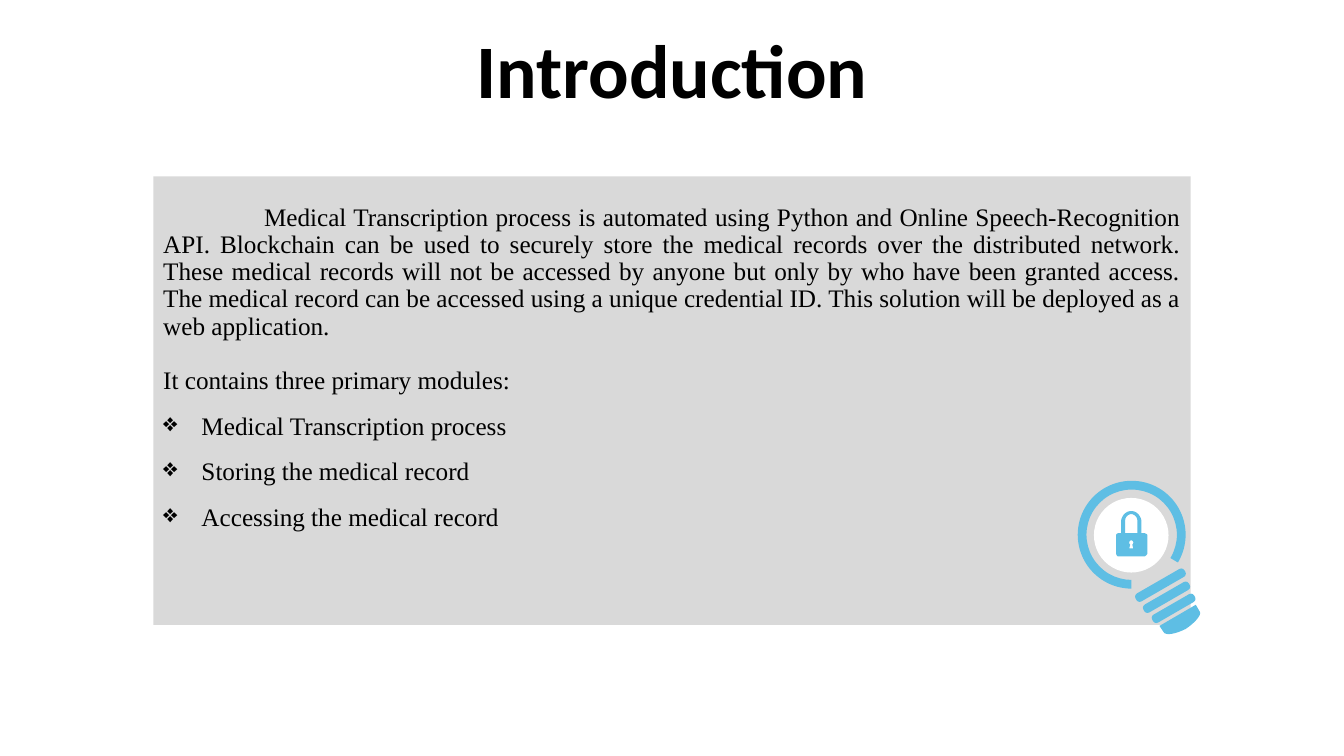
from dataclasses import dataclass
from typing import Any

from lxml.etree import SubElement
from pptx import Presentation
from pptx.dml.color import RGBColor
from pptx.enum.shapes import MSO_SHAPE as Preset
from pptx.enum.text import MSO_ANCHOR as Anchor, MSO_AUTO_SIZE as AutoSize, PP_ALIGN as Align
from pptx.oxml.ns import qn
from pptx.util import Emu, Pt

PX = 9144
TITLE_ONLY = 5
CURVE_STEPS = 8
TILT = 330
COLORS = {"ink": "000000", "panel": "D9D9D9", "bulb": "5EBEE4", "glass": "FFFFFF"}

Point = tuple[float, float]
Segment = tuple[Point, ...]


@dataclass(frozen=True)
class Box:
    left: int
    top: int
    width: int
    height: int

    def emu(self) -> tuple[int, int, int, int]:
        return tuple(px(value) for value in (self.left, self.top, self.width, self.height))


@dataclass(frozen=True)
class Part:
    preset: Preset
    box: Box
    color: str
    rotation: int = 0
    adjustments: tuple[float, ...] = ()


@dataclass(frozen=True)
class Line:
    text: str
    spacing: float = 0.9
    before: float = 0
    margin: int = 0
    indent: int = 0
    bullet: str = ""


@dataclass(frozen=True)
class Contour:
    start: Point
    segments: tuple[Segment, ...]


INTRODUCTION = (
    Line(
        "Medical Transcription process is automated using Python and Online Speech-Recognition API. "
        "Blockchain can be used to securely store the medical records over the distributed network. "
        "These medical records will not be accessed by anyone but only by who have been granted access. "
        "The medical record can be accessed using a unique credential ID. "
        "This solution will be deployed as a web application.",
        indent=100,
    ),
    Line("It contains three primary modules:", before=19.5),
    *(
        Line(module, spacing=1.5, margin=38, indent=-38, bullet="❖")
        for module in (
            "Medical Transcription process",
            "Storing the medical record",
            "Accessing the medical record",
        )
    ),
)

PANEL = Part(Preset.RECTANGLE, Box(152, 175, 1029, 445), "panel")
THREADS = (Box(1123, 576, 56, 9), Box(1131, 588, 52, 9), Box(1140, 599, 48, 9))
BULB = (
    *(Part(Preset.ROUNDED_RECTANGLE, box, "bulb", TILT, (0.4,)) for box in THREADS),
    Part(Preset.BLOCK_ARC, Box(1069, 477, 107, 107), "bulb", TILT, (72.222, 36.605, 0.081)),
    Part(Preset.OVAL, Box(1085, 494, 74, 74), "glass"),
)

CAP = (
    Contour((1150, 621), (
        ((1186, 600),),
        ((1190, 607),),
        ((1192, 610), (1185, 618), (1176, 624)),
        ((1166, 629), (1156, 631), (1154, 627)),
    )),
)
PADLOCK = (
    Contour((1122, 536), (
        ((1121, 536), (1120, 537), (1120, 538)),
        ((1120, 539), (1120, 540), (1121, 540)),
        ((1120, 544),),
        ((1124, 544),),
        ((1123, 540),),
        ((1124, 540), (1124, 539), (1124, 538)),
        ((1124, 537), (1123, 536), (1122, 536)),
    )),
    Contour((1122, 510), (
        ((1119, 510), (1116, 513), (1116, 516)),
        ((1116, 529),),
        ((1128, 529),),
        ((1128, 516),),
        ((1128, 513), (1125, 510), (1122, 510)),
    )),
    Contour((1122, 507), (
        ((1127, 507), (1131, 511), (1132, 516)),
        ((1132, 529),),
        ((1135, 529),),
        ((1136, 529), (1138, 530), (1138, 531)),
        ((1138, 549),),
        ((1138, 550), (1136, 552), (1135, 552)),
        ((1109, 552),),
        ((1108, 552), (1107, 550), (1107, 549)),
        ((1107, 531),),
        ((1107, 530), (1108, 529), (1109, 529)),
        ((1112, 529),),
        ((1112, 516),),
        ((1113, 511), (1117, 507), (1122, 507)),
    )),
)


def px(value: float) -> Emu:
    return Emu(round(value * PX))


def apply(target: Any, values: dict[str, Any]) -> None:
    for name, value in values.items():
        setattr(target, name, value)


def paint(shape: Any, color: str) -> None:
    shape.shadow.inherit = False
    shape.fill.solid()
    shape.fill.fore_color.rgb = RGBColor.from_string(COLORS[color])
    shape.line.fill.background()


def add_part(slide: Any, part: Part) -> Any:
    shape = slide.shapes.add_shape(part.preset, *part.box.emu())
    shape.rotation = part.rotation
    for index, value in enumerate(part.adjustments):
        shape.adjustments[index] = value
    paint(shape, part.color)
    return shape


def flatten(contour: Contour) -> list[tuple[int, int]]:
    points = []
    current = contour.start
    for segment in contour.segments:
        if len(segment) == 1:
            points.append(segment[0])
        else:
            for step in range(1, CURVE_STEPS + 1):
                t = step / CURVE_STEPS
                weights = ((1 - t) ** 3, 3 * t * (1 - t) ** 2, 3 * t * t * (1 - t), t ** 3)
                controls = (current, *segment)
                points.append(tuple(
                    sum(weight * control[axis] for weight, control in zip(weights, controls))
                    for axis in (0, 1)
                ))
        current = segment[-1]
    return [(px(x), px(y)) for x, y in points]


def add_outline(slide: Any, contours: tuple[Contour, ...], color: str) -> None:
    starts = [(px(contour.start[0]), px(contour.start[1])) for contour in contours]
    builder = slide.shapes.build_freeform(*starts[0], scale=1.0)
    for index, (start, contour) in enumerate(zip(starts, contours)):
        if index:
            builder.move_to(*start)
        builder.add_line_segments(flatten(contour), close=True)
    paint(builder.convert_to_shape(), color)


def write(paragraph: Any, line: Line, align: Align, font: dict[str, Any]) -> None:
    properties = paragraph._p.get_or_add_pPr()
    properties.set("marL", str(px(line.margin)))
    properties.set("indent", str(px(line.indent)))
    if line.bullet:
        SubElement(properties, qn("a:buChar")).set("char", line.bullet)
    apply(paragraph, {"alignment": align, "line_spacing": line.spacing})
    if line.before:
        paragraph.space_before = Pt(line.before)
    run = paragraph.add_run()
    run.text = line.text
    apply(run.font, font)
    run.font.color.rgb = RGBColor.from_string(COLORS["ink"])


def main() -> None:
    presentation = Presentation()
    apply(presentation, {"slide_width": px(1333), "slide_height": px(750)})
    slide = presentation.slides.add_slide(presentation.slide_layouts[TITLE_ONLY])

    title = slide.shapes.title
    apply(title, dict(zip(("left", "top", "width", "height"), Box(0, 29, 1333, 88).emu())))
    frame_format = {"word_wrap": True, "auto_size": AutoSize.NONE, "vertical_anchor": Anchor.MIDDLE}
    apply(title.text_frame, frame_format)
    write(title.text_frame.paragraphs[0], Line("Introduction"), Align.CENTER,
          {"name": "Calibri", "size": Pt(54), "bold": True})

    frame = add_part(slide, PANEL).text_frame
    apply(frame, {**frame_format, "margin_bottom": px(70)})
    for index, line in enumerate(INTRODUCTION):
        paragraph = frame.add_paragraph() if index else frame.paragraphs[0]
        write(paragraph, line, Align.JUSTIFY, {"name": "Times New Roman", "size": Pt(18)})

    for part in BULB:
        add_part(slide, part)
    for outline in (CAP, PADLOCK):
        add_outline(slide, outline, "bulb")
    presentation.save("out.pptx")


if __name__ == "__main__":
    main()
